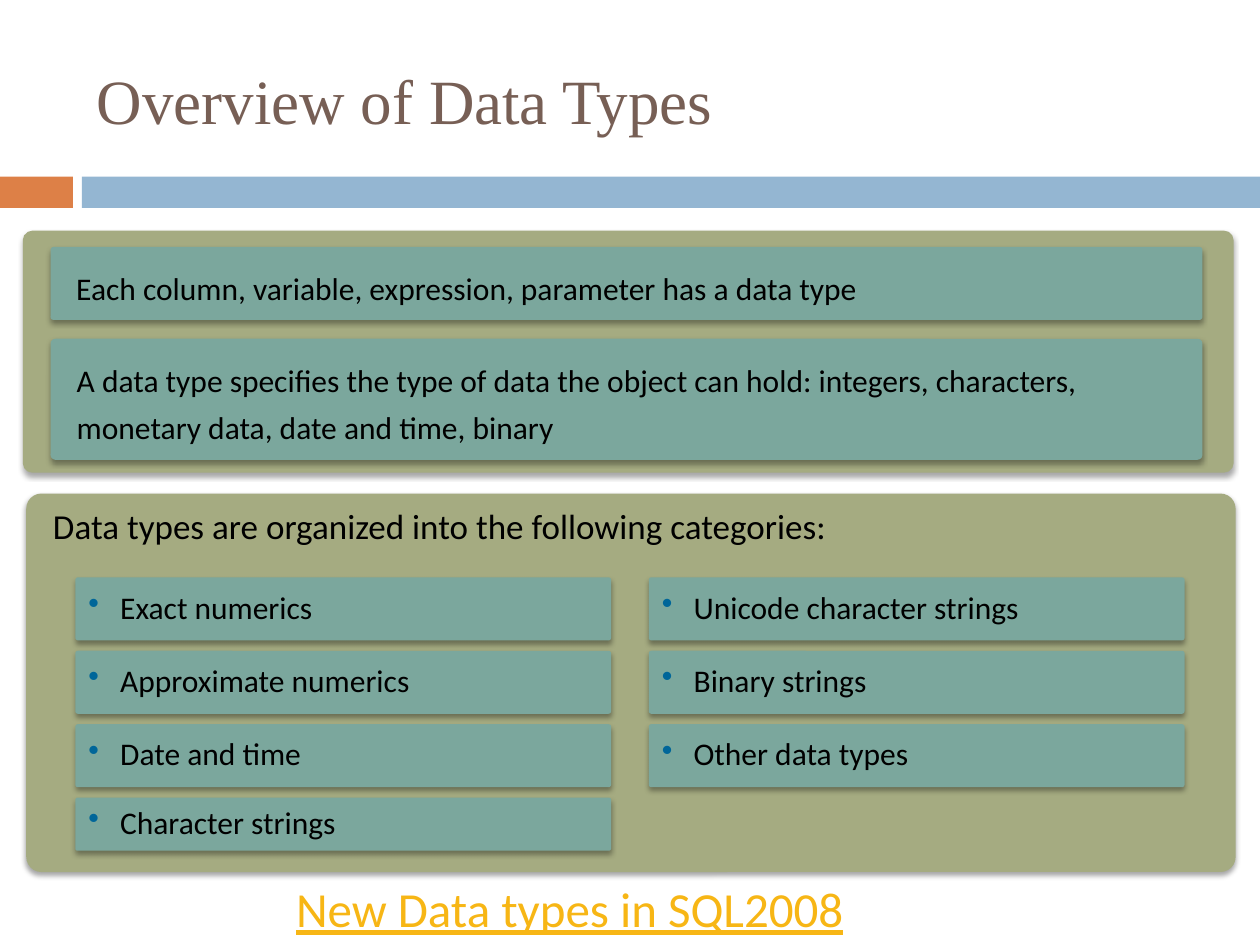
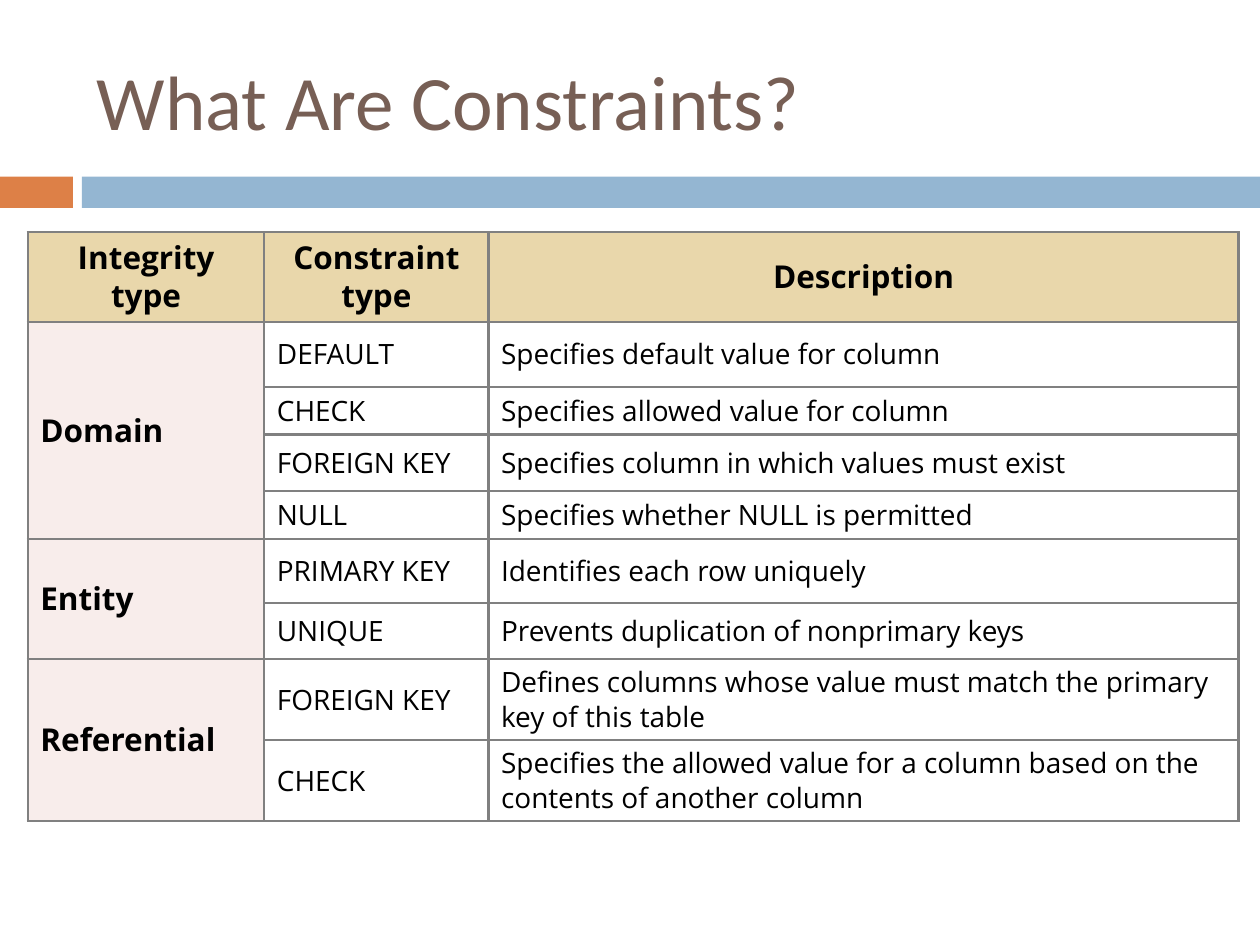
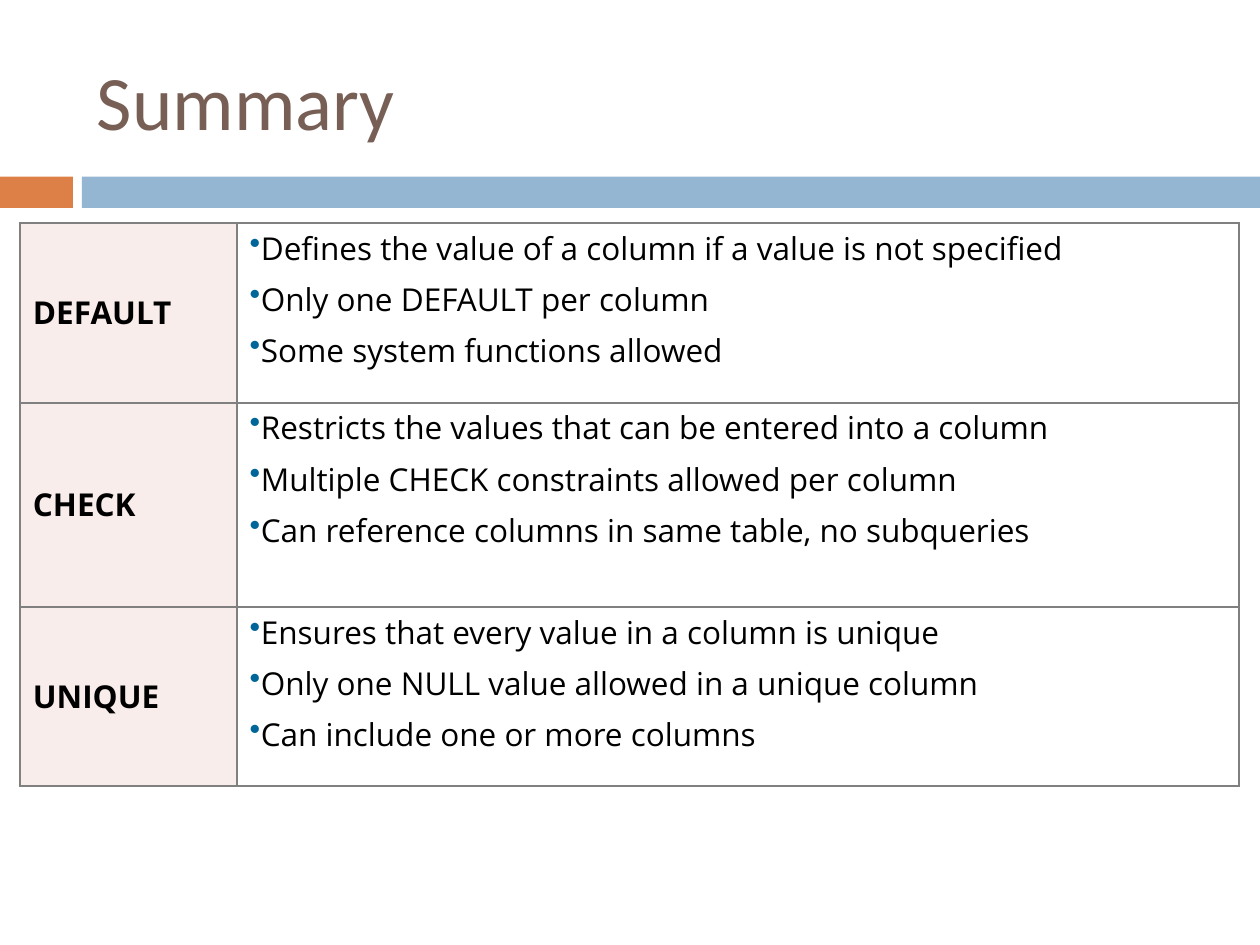
from lxml import etree
from pptx import Presentation
from pptx.dml.color import RGBColor
from pptx.enum.shapes import MSO_SHAPE
from pptx.enum.text import MSO_ANCHOR, PP_ALIGN
from pptx.oxml.ns import qn
from pptx.util import Cm, Pt

RECT, ROUNDED = MSO_SHAPE.RECTANGLE, MSO_SHAPE.ROUNDED_RECTANGLE
TOP, MIDDLE = MSO_ANCHOR.TOP, MSO_ANCHOR.MIDDLE
LEFT, CENTER = PP_ALIGN.LEFT, PP_ALIGN.CENTER

BLACK = RGBColor(0x00, 0x00, 0x00)
WHITE = RGBColor(0xFF, 0xFF, 0xFF)
BROWN = RGBColor(0x77, 0x5F, 0x55)
ORANGE = RGBColor(0xDD, 0x80, 0x47)
BLUE = RGBColor(0x94, 0xB6, 0xD2)
OLIVE = RGBColor(0xA5, 0xAB, 0x81)
TEAL = RGBColor(0x7B, 0xA7, 0x9D)
GOLD = RGBColor(0xF7, 0xB6, 0x15)
SAND = RGBColor(0xE9, 0xD7, 0xAB)
PINK = RGBColor(0xF8, 0xED, 0xEB)
BULLET_BLUE = RGBColor(0x00, 0x66, 0x99)
GRAY = RGBColor(0x80, 0x80, 0x80)

BODY_FONT, TABLE_FONT = "Calibri", "Open Sans"

# Left, top, width, height in centimetres
TITLE_BOX = (1.7, 0.64, 22.66, 2.74)
BANDS = [((0, 3.56, 1.47, 0.63), ORANGE), ((1.65, 3.56, 23.75, 0.63), BLUE)]

FACTS_PANEL = (0.46, 4.65, 24.41, 4.88)
FACTS = [
    ("Each column, variable, expression, parameter has a data type",
     (1.02, 4.98, 23.22, 1.47)),
    ("A data type specifies the type of data the object can hold: integers, "
     "characters, monetary data, date and time, binary",
     (1.02, 6.83, 23.22, 2.44)),
]
CATEGORY_PANEL = (0.53, 9.95, 24.38, 7.63)
CATEGORY_HEADING = "Data types are organized into the following categories:"
CATEGORY_COLUMNS = [
    (1.52, ["Exact numerics", "Approximate numerics", "Date and time",
            "Character strings"]),
    (13.08, ["Unicode character strings", "Binary strings",
             "Other data types"]),
]
CATEGORY_TOP, CATEGORY_PITCH = 11.64, 1.48
CATEGORY_WIDTH, CATEGORY_HEIGHT = 10.8, 1.27
CATEGORY_MARGIN = 0.43
NEW_TYPES, NEW_TYPES_BOX = "New Data types in SQL2008", (5.72, 17.58, 14.17, 1.45)

CONSTRAINT_HEADER = ["Integrity type", "Constraint type", "Description"]
CONSTRAINTS = {
    "Domain": [
        ("DEFAULT", "Specifies default value for column"),
        ("CHECK", "Specifies allowed value for column"),
        ("FOREIGN KEY", "Specifies column in which values must exist"),
        ("NULL", "Specifies whether NULL is permitted"),
    ],
    "Entity": [
        ("PRIMARY KEY", "Identifies each row uniquely"),
        ("UNIQUE", "Prevents duplication of nonprimary keys"),
    ],
    "Referential": [
        ("FOREIGN KEY", "Defines columns whose value must match the primary "
                        "key of this table"),
        ("CHECK", "Specifies the allowed value for a column based on the "
                  "contents of another column"),
    ],
}
CONSTRAINT_ORIGIN = (0.56, 4.68)
CONSTRAINT_WIDTHS = [4.77, 4.52, 15.12]
CONSTRAINT_HEIGHTS = [1.8, 1.31, 0.96, 1.14, 0.97, 1.29, 1.13, 1.63, 1.63]

SUMMARY = {
    "DEFAULT": ["Defines the value of a column if a value is not specified",
                "Only one DEFAULT per column",
                "Some system functions allowed"],
    "CHECK": ["Restricts the values that can be entered into a column",
              "Multiple CHECK constraints allowed per column",
              "Can reference columns in same table, no subqueries"],
    "UNIQUE": ["Ensures that every value in a column is unique",
               "Only one NULL value allowed in a unique column",
               "Can include one or more columns"],
}
SUMMARY_ORIGIN = (0.41, 4.5)
SUMMARY_WIDTHS = [4.37, 20.2]
SUMMARY_HEIGHTS = [3.62, 4.12, 3.61]


def box(lengths):
    return [Cm(length) for length in lengths]


def add_solid_fill(parent, color, opacity=None):
    fill = etree.SubElement(parent, qn("a:solidFill"))
    etree.SubElement(fill, qn("a:srgbClr"), val=str(color))


def add_bullet(paragraph, indent):
    properties = paragraph._p.get_or_add_pPr()
    properties.set("marL", str(Cm(indent)))
    properties.set("indent", str(-Cm(indent)))
    color = etree.SubElement(properties, qn("a:buClr"))
    etree.SubElement(color, qn("a:srgbClr"), val=str(BULLET_BLUE))
    etree.SubElement(properties, qn("a:buChar"), char="•")


def write(frame, *lines, size=18, font=BODY_FONT, color=BLACK, bold=False,
          underline=False, align=LEFT, anchor=MIDDLE, spacing=1.0,
          bullet_indent=None):
    """Fill a text frame with one paragraph per line."""
    frame.word_wrap = True
    frame.vertical_anchor = anchor
    for index, line in enumerate(lines):
        paragraph = frame.add_paragraph() if index else frame.paragraphs[0]
        paragraph.alignment = align
        paragraph.line_spacing = spacing
        paragraph.space_before = Pt(0.4 * size if index else 0)
        if bullet_indent is not None:
            add_bullet(paragraph, bullet_indent)
        run = paragraph.add_run()
        run.text = line
        run.font.size = Pt(size)
        run.font.name = font
        run.font.bold = bold
        run.font.underline = underline
        run.font.color.rgb = color


def add_block(slide, kind, place, color):
    block = slide.shapes.add_shape(kind, *box(place))
    block.shadow.inherit = False
    block.fill.solid()
    block.fill.fore_color.rgb = color
    block.line.fill.background()
    return block


def add_panel(slide, place, color):
    """Add a rounded block with a soft shadow below it."""
    panel = add_block(slide, ROUNDED, place, color)
    panel.adjustments[0] = 0.04
    effects = panel.element.spPr.find(qn("a:effectLst"))
    shadow = etree.SubElement(effects, qn("a:outerShdw"), blurRad=str(Pt(3)),
                              dist=str(Pt(2)), dir="5400000", rotWithShape="0")
    shade = etree.SubElement(shadow, qn("a:srgbClr"), val=str(BLACK))
    etree.SubElement(shade, qn("a:alpha"), val="35000")
    return panel


def add_titled_slide(deck, layout, title, size=44, font=BODY_FONT):
    slide = deck.slides.add_slide(layout)
    write(slide.shapes.title.text_frame, title, size=size, font=font, color=BROWN)
    return slide


def move_bands_to_layout(slide, layout):
    """Draw the bands once, on the layout that every slide uses."""
    for place, color in BANDS:
        band = add_block(slide, RECT, place, color)
        layout.shapes.element.append(band.element)


def add_grid(slide, origin, widths, heights):
    frame = slide.shapes.add_table(len(heights), len(widths),
                                   *box((*origin, sum(widths), sum(heights))))
    grid = frame.table
    grid.first_row = grid.horz_banding = False
    for column, width in zip(grid.columns, widths):
        column.width = Cm(width)
    for row, height in zip(grid.rows, heights):
        row.height = Cm(height)
    for cell in grid.iter_cells():
        paint_cell(cell, WHITE)
        properties = cell._tc.get_or_add_tcPr()
        for index, side in enumerate(("a:lnL", "a:lnR", "a:lnT", "a:lnB")):
            border = etree.Element(qn(side), w=str(Pt(1.5)))
            add_solid_fill(border, GRAY)
            properties.insert(index, border)
    return grid


def paint_cell(cell, color):
    cell.fill.solid()
    cell.fill.fore_color.rgb = color


def fill_cell(cell, *lines, color=WHITE, anchor=MIDDLE, **text_format):
    paint_cell(cell, color)
    write(cell.text_frame, *lines, font=TABLE_FONT, spacing=0.9, **text_format)
    cell.vertical_anchor = anchor


def build_overview(slide):
    add_panel(slide, FACTS_PANEL, OLIVE)
    for fact, place in FACTS:
        frame = add_panel(slide, place, TEAL).text_frame
        write(frame, fact, spacing=1.22)
        frame.margin_left = Cm(0.5)
        frame.margin_right = frame.margin_top = frame.margin_bottom = Cm(0.25)

    heading = add_panel(slide, CATEGORY_PANEL, OLIVE).text_frame
    write(heading, CATEGORY_HEADING, size=20, anchor=TOP)
    heading.margin_left = Cm(0.45)
    lowest = CATEGORY_PANEL[1] + CATEGORY_PANEL[3] - CATEGORY_MARGIN
    for left, categories in CATEGORY_COLUMNS:
        for row, category in enumerate(categories):
            top = CATEGORY_TOP + row * CATEGORY_PITCH
            height = min(CATEGORY_HEIGHT, lowest - top)
            tile = add_panel(slide, (left, top, CATEGORY_WIDTH, height), TEAL)
            write(tile.text_frame, category, spacing=0.9, bullet_indent=0.64)

    new_types = slide.shapes.add_textbox(*box(NEW_TYPES_BOX))
    write(new_types.text_frame, NEW_TYPES, size=28, color=GOLD, underline=True,
          anchor=TOP)


def build_constraints(slide):
    grid = add_grid(slide, CONSTRAINT_ORIGIN, CONSTRAINT_WIDTHS, CONSTRAINT_HEIGHTS)
    for column, heading in enumerate(CONSTRAINT_HEADER):
        fill_cell(grid.cell(0, column), heading, color=SAND, bold=True, align=CENTER)
    row = 1
    for integrity, constraints in CONSTRAINTS.items():
        group = grid.cell(row, 0)
        group.merge(grid.cell(row + len(constraints) - 1, 0))
        fill_cell(group, integrity, color=PINK, bold=True)
        for constraint, description in constraints:
            fill_cell(grid.cell(row, 1), constraint, size=16)
            fill_cell(grid.cell(row, 2), description, size=16)
            row += 1


def build_summary(slide):
    grid = add_grid(slide, SUMMARY_ORIGIN, SUMMARY_WIDTHS, SUMMARY_HEIGHTS)
    for row, (constraint, rules) in enumerate(SUMMARY.items()):
        fill_cell(grid.cell(row, 0), constraint, color=PINK, bold=True)
        fill_cell(grid.cell(row, 1), *rules, anchor=TOP, bullet_indent=0)


def main():
    deck = Presentation()
    deck.slide_width, deck.slide_height = Cm(25.4), Cm(19.05)
    layout = deck.slide_layouts.get_by_name("Title Only")
    title = layout.placeholders[0]
    title.left, title.top, title.width, title.height = box(TITLE_BOX)

    overview = add_titled_slide(deck, layout, "Overview of Data Types",
                                size=36, font="Times New Roman")
    move_bands_to_layout(overview, layout)
    build_overview(overview)
    build_constraints(add_titled_slide(deck, layout, "What Are Constraints?"))
    build_summary(add_titled_slide(deck, layout, "Summary"))
    deck.save("out.pptx")


if __name__ == "__main__":
    main()
